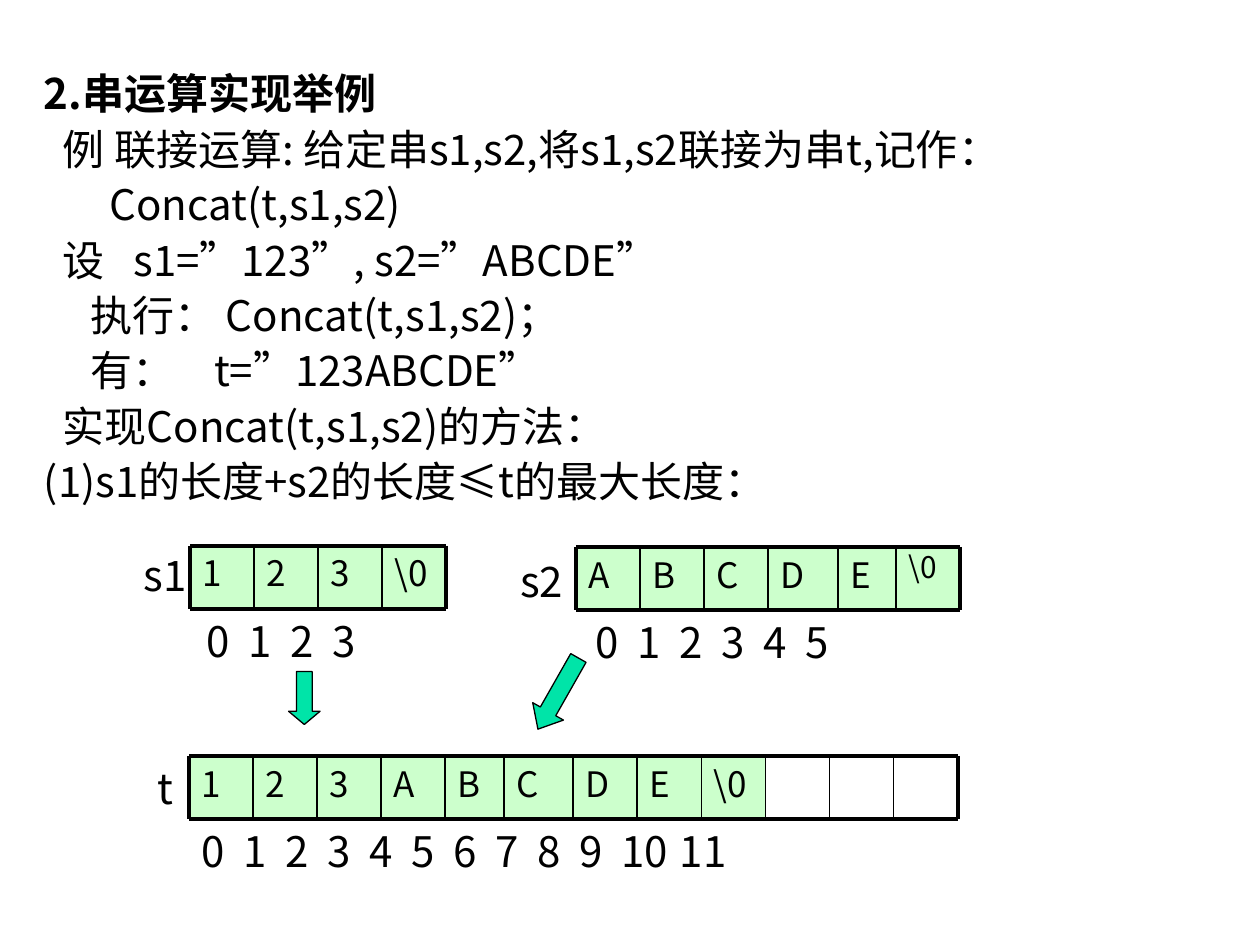
import itertools

import lxml.etree
import pptx
import pptx.dml.color
import pptx.enum.shapes
import pptx.enum.text
import pptx.oxml.ns
import pptx.util

# Content: (indent, gap stop, text); stops in inches from the text edge
HEADING = "2.串运算实现举例"
LINES = [
    (0, None, HEADING),
    (0.15, None, "例 联接运算: 给定串s1,s2,将s1,s2联接为串t,记作："),
    (0.52, None, "Concat(t,s1,s2)"),
    (0.15, 0.71, "设\ts1=”123”, s2=”ABCDE”"),
    (0.37, None, "执行： Concat(t,s1,s2)；"),
    (0.37, 1.35, "有：\tt=”123ABCDE”"),
    (0.15, None, "实现Concat(t,s1,s2)的方法："),
    (0, None, "(1)s1的长度+s2的长度≤t的最大长度："),
]
# Arrays: cells, index count, shifted inner edges, small cells, label and index places
ARRAYS = [
    dict(name="s2", at=(4.57, 4.34), cells=["A", "B", "C", "D", "E", "\\0"],
         indices=6, nudge={4: 0.05}, small={5}, label=(4.03, 4.36), index_x=4.63),
    dict(name="s1", at=(1.51, 4.33), cells=["1", "2", "3", "\\0"],
         indices=4, nudge={}, small=set(), label=(1.04, 4.31), index_x=1.54),
    dict(name="t", at=(1.5, 6), cells=["1", "2", "3", "A", "B", "C", "D", "E", "\\0", "", "", ""],
         indices=12, nudge={5: -0.04}, small=set(), label=(1.15, 6), index_x=1.5),
]
# Arrows: left, top, width, height, rotation, head share
ARROWS = [(2.29, 5.33, 0.25, 0.42, 0, 0.42), (4.29, 5.18, 0.28, 0.65, 29.6, 0.58)]

THEME = dict(font="Noto Sans CJK SC", quote="Times New Roman", text="000000", cell="CCFFCC",
             arrow="00E4A8", body=24, value=20, small=17, frame=2.25, divider=1, outline=0.75)
UNIT, HEIGHT = 6.1 / 12, 0.5
INDEX_DROP, INDEX_STEP, DIGIT = 0.58, 1 / 3, 0.13

prs = pptx.Presentation()
prs.slide_width, prs.slide_height = pptx.util.Inches(10), pptx.util.Inches(7.5)
slide = prs.slides.add_slide(prs.slide_layouts[6])


def inches(*values):
    return [pptx.util.Inches(v) for v in values]


def color(key):
    return pptx.dml.color.RGBColor.from_string(THEME[key])


def write(p, text, size, stops=(), bold=False, spacing=None):
    """Fill a paragraph; curly quotes take their own font."""
    if stops:
        tabs = lxml.etree.SubElement(p._p.get_or_add_pPr(), pptx.oxml.ns.qn("a:tabLst"))
        for stop in stops:
            lxml.etree.SubElement(tabs, pptx.oxml.ns.qn("a:tab"),
                                  pos=str(pptx.util.Inches(stop)), algn="l")
    p.alignment = pptx.enum.text.PP_ALIGN.LEFT
    if spacing:
        p.line_spacing = spacing
    p.font.name, p.font.size, p.font.bold = THEME["font"], pptx.util.Pt(THEME[size]), bold
    p.font.color.rgb = color("text")
    lxml.etree.SubElement(p._p.pPr.find(pptx.oxml.ns.qn("a:defRPr")),
                          pptx.oxml.ns.qn("a:ea"), typeface=THEME["font"])
    for is_quote, part in itertools.groupby(text, lambda ch: ch == "”"):
        r = p.add_run()
        r.text = "".join(part)
        if is_quote:
            r.font.name = THEME["quote"]


def text_box(x, y, w, h, wrap=True):
    tf = slide.shapes.add_textbox(*inches(x, y, w, h)).text_frame
    tf.word_wrap = wrap
    tf.auto_size = pptx.enum.text.MSO_AUTO_SIZE.SHAPE_TO_FIT_TEXT
    return tf


def rule(group, x1, y1, x2, y2, weight):
    line = group.shapes.add_connector(pptx.enum.shapes.MSO_CONNECTOR.STRAIGHT,
                                      *inches(x1, y1, x2, y2))
    line.line.color.rgb, line.line.width = color("text"), pptx.util.Pt(THEME[weight])
    lxml.etree.SubElement(line._element.spPr, pptx.oxml.ns.qn("a:effectLst"))


def draw_array(name, at, cells, indices, nudge, small, label, index_x):
    left, top = at
    bottom, count = top + HEIGHT, len(cells)
    edges = [left + i * UNIT + nudge.get(i, 0) for i in range(count + 1)]
    group = slide.shapes.add_group_shape()

    # Filled cells
    for i, value in enumerate(cells):
        if not value:
            continue
        sp = group.shapes.add_shape(pptx.enum.shapes.MSO_SHAPE.RECTANGLE,
                                    *inches(edges[i], top, edges[i + 1] - edges[i], HEIGHT))
        sp.shadow.inherit = False
        sp.fill.solid()
        sp.fill.fore_color.rgb = color("cell")
        sp.line.fill.background()
        tf = sp.text_frame
        tf.vertical_anchor = pptx.enum.text.MSO_ANCHOR.TOP
        is_small = i in small
        write(tf.paragraphs[0], value, "small" if is_small else "value",
              spacing=0.9 if is_small else None)

    # Frame and dividers
    for y in (top, bottom):
        rule(group, left, y, edges[-1], y, "frame")
    for i, x in enumerate(edges):
        rule(group, x, top, x, bottom, "frame" if i in (0, count) else "divider")

    # Name and index row
    write(text_box(*label, 0.55, HEIGHT, wrap=False).paragraphs[0], name, "body")
    labels = [str(i) for i in range(indices)]
    stops = [i * INDEX_STEP + DIGIT * (len(labels[i - 1]) - 1) for i in range(1, indices)]
    tf = text_box(index_x, top + INDEX_DROP, indices * INDEX_STEP + 0.8, 0.42)
    write(tf.paragraphs[0], "\t".join(labels), "body", stops, spacing=0.8)


for array in ARRAYS:
    draw_array(**array)

# Block arrows
for x, y, w, h, rotation, head in ARROWS:
    sp = slide.shapes.add_shape(pptx.enum.shapes.MSO_SHAPE.DOWN_ARROW, *inches(x, y, w, h))
    sp.adjustments[0], sp.adjustments[1] = 0.5, head
    sp.rotation = rotation
    sp.shadow.inherit = False
    sp.fill.solid()
    sp.fill.fore_color.rgb = color("arrow")
    sp.line.color.rgb, sp.line.width = color("text"), pptx.util.Pt(THEME["outline"])

# Explanation; lines with a gap reach their indent by tab as well
tf = text_box(0.25, 0.45, 9.75, 3.62)
for i, (indent, gap, text) in enumerate(LINES):
    p = tf.paragraphs[0] if i == 0 else tf.add_paragraph()
    if gap:
        write(p, "\t" + text, "body", (indent, gap), spacing=1.1)
    else:
        p._p.get_or_add_pPr().set("marL", str(pptx.util.Inches(indent)))
        write(p, text, "body", bold=text == HEADING, spacing=1.1)

prs.save("out.pptx")
